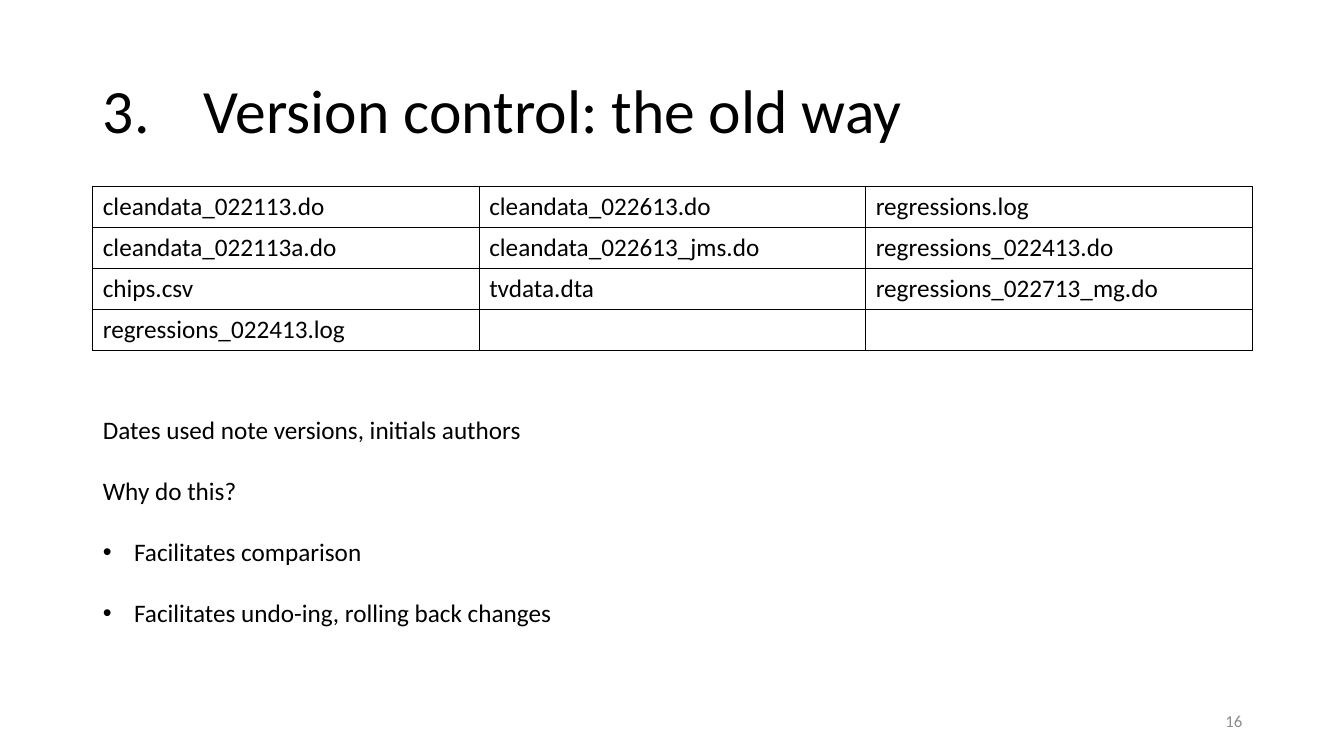
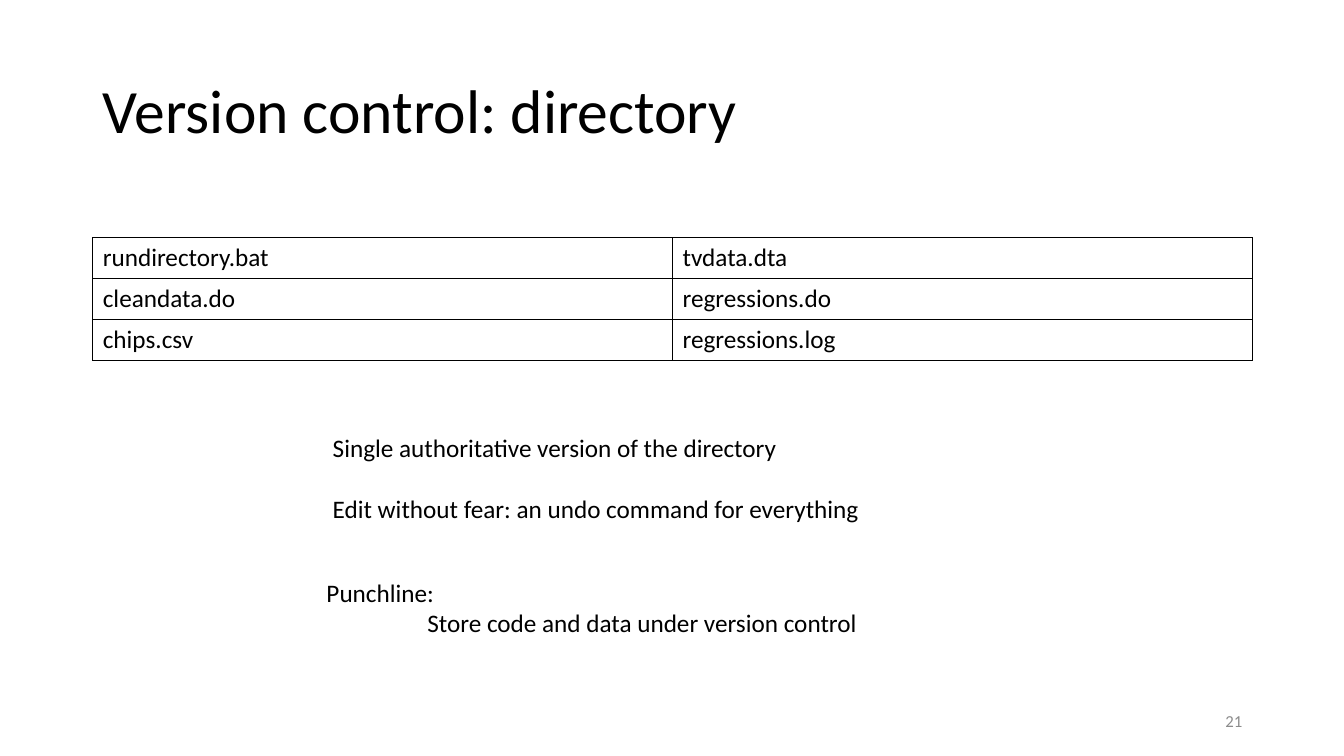
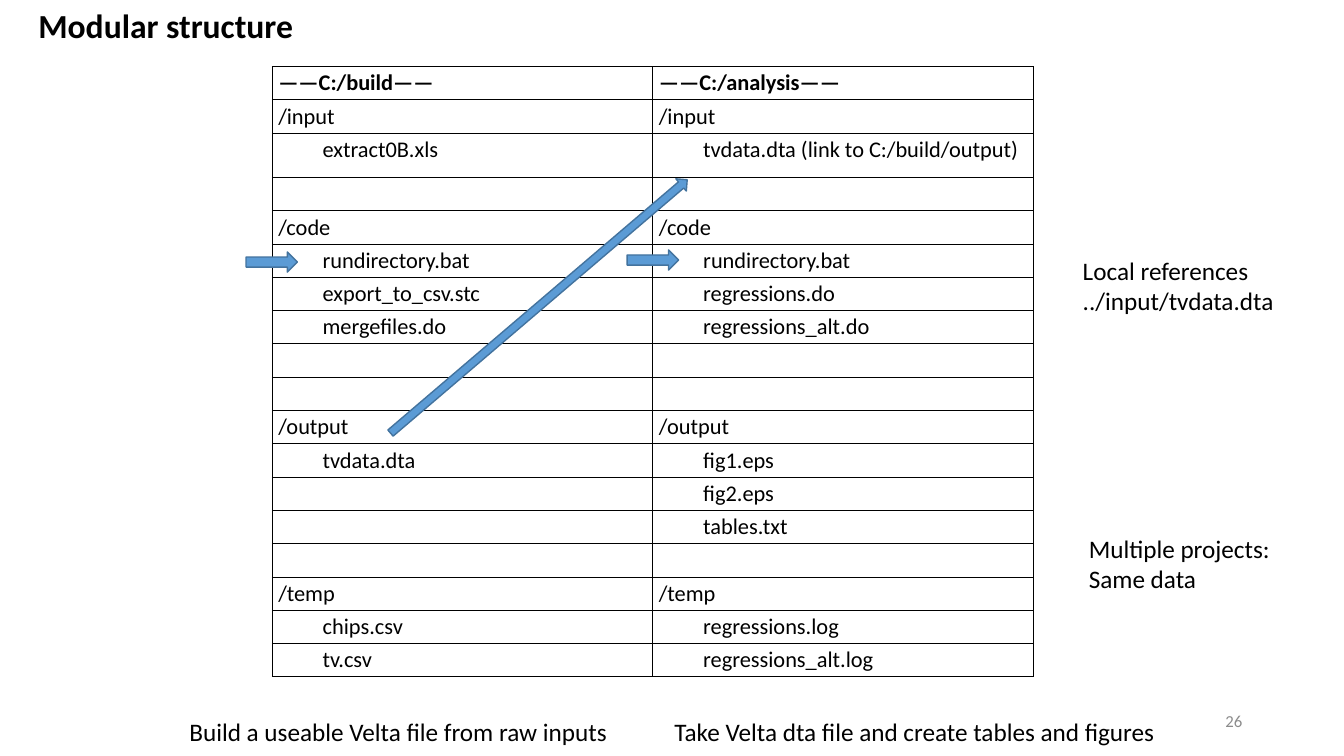
import lxml.etree
import pptx
import pptx.dml.color
import pptx.enum.shapes
import pptx.enum.text
import pptx.oxml.ns
import pptx.util

Inches = pptx.util.Inches
Pt = pptx.util.Pt
qn = pptx.oxml.ns.qn
Anchor = pptx.enum.text.MSO_ANCHOR
Align = pptx.enum.text.PP_ALIGN
AutoSize = pptx.enum.text.MSO_AUTO_SIZE

FONT = "Calibri"
COLORS = {
    "text": "000000",
    "page": "FFFFFF",
    "number": "8C8C8C",
    "arrow": "5B9BD5",
    "arrow_edge": "43739E",
}
TITLE_BOX = (0.92, 0.4, 11.5, 1.45)
NUMBER_BOX = (9.42, 6.95, 3, 0.4)
TITLE_AND_BODY, TITLE_ONLY = 1, 5
LIST_GAP = 22
TAB_WIDTH = 1

OLD_WAY_FILES = [
    ["cleandata_022113.do", "cleandata_022613.do", "regressions.log"],
    ["cleandata_022113a.do", "cleandata_022613_jms.do", "regressions_022413.do"],
    ["chips.csv", "tvdata.dta", "regressions_022713_mg.do"],
    ["regressions_022413.log", "", ""],
]
DIRECTORY_FILES = [
    ["rundirectory.bat", "tvdata.dta"],
    ["cleandata.do", "regressions.do"],
    ["chips.csv", "regressions.log"],
]
MODULE_FILES = [
    ["——C:/build——", "——C:/analysis——"],
    ["/input", "/input"],
    ["extract0B.xls", "tvdata.dta (link to C:/build/output)"],
    ["", ""],
    ["/code", "/code"],
    ["rundirectory.bat", "rundirectory.bat"],
    ["export_to_csv.stc", "regressions.do"],
    ["mergefiles.do", "regressions_alt.do"],
    ["", ""],
    ["", ""],
    ["/output", "/output"],
    ["tvdata.dta", "fig1.eps"],
    ["", "fig2.eps"],
    ["", "tables.txt"],
    ["", ""],
    ["/temp", "/temp"],
    ["chips.csv", "regressions.log"],
    ["tv.csv", "regressions_alt.log"],
]


def rgb(name):
    """Return the named colour."""
    return pptx.dml.color.RGBColor.from_string(COLORS[name])


def set_tab_width(presentation):
    """Set the default tab width of the presentation and its master."""
    for root in (presentation.element, presentation.slide_master.element):
        for element in root.iter():
            if element.get("defTabSz"):
                element.set("defTabSz", str(Inches(TAB_WIDTH)))


def write_paragraph(frame, text, size=18, bold=False, color="text", align=Align.LEFT,
                    indent=0, hanging=0, bullet=None, after=0, spacing=1.0):
    """Write one formatted paragraph into a text frame."""
    first = frame.paragraphs[0]
    paragraph = frame.add_paragraph() if first.runs else first
    paragraph.alignment = align
    paragraph.line_spacing = spacing
    paragraph.space_before = Pt(0)
    paragraph.space_after = Pt(after)
    properties = paragraph._p.get_or_add_pPr()
    properties.set("marL", str(Inches(indent)))
    properties.set("indent", str(-Inches(hanging)))
    properties.set("defTabSz", str(Inches(TAB_WIDTH)))
    if bullet:
        lxml.etree.SubElement(properties, qn("a:buFont"), typeface="Arial")
        lxml.etree.SubElement(properties, qn("a:buChar"), char=bullet)
    else:
        lxml.etree.SubElement(properties, qn("a:buNone"))
    if not text:
        lxml.etree.SubElement(paragraph._p, qn("a:endParaRPr"), sz=str(size * 100))
        return
    run = paragraph.add_run()
    run.text = text
    run.font.name = FONT
    run.font.size = Pt(size)
    run.font.bold = bold
    run.font.color.rgb = rgb(color)


def place(shape, box):
    """Move a shape to a box given in inches."""
    shape.left, shape.top, shape.width, shape.height = map(Inches, box)


def add_title(slide, text, box=TITLE_BOX, anchor=Anchor.MIDDLE, wrap=True,
              size=44, spacing=0.9, **style):
    """Fill the title placeholder."""
    place(slide.shapes.title, box)
    frame = slide.shapes.title.text_frame
    frame.word_wrap = wrap
    frame.auto_size = AutoSize.NONE if wrap else AutoSize.SHAPE_TO_FIT_TEXT
    frame.vertical_anchor = anchor
    write_paragraph(frame, text, size=size, spacing=spacing, **style)


def add_body(slide, box, lines):
    """Fill the body placeholder with spaced lines and their formats."""
    body = slide.placeholders[1]
    place(body, box)
    body.text_frame.word_wrap = True
    body.text_frame.auto_size = AutoSize.NONE
    for text, style in lines:
        write_paragraph(body.text_frame, text, after=LIST_GAP, **style)


def add_note(slide, box, lines, anchor=Anchor.TOP, wrap=False):
    """Add a text box holding lines and their formats."""
    frame = slide.shapes.add_textbox(*map(Inches, box)).text_frame
    frame.word_wrap = wrap
    frame.auto_size = AutoSize.NONE if wrap else AutoSize.SHAPE_TO_FIT_TEXT
    frame.vertical_anchor = anchor
    for text, style in lines:
        write_paragraph(frame, text, **style)


def add_number(slide, number):
    """Add the slide number at the bottom right."""
    style = {"size": 12, "color": "number", "align": Align.RIGHT}
    add_note(slide, NUMBER_BOX, [(str(number), style)], Anchor.MIDDLE, wrap=True)


def format_cell(cell, margins):
    """Give a cell thin borders, a plain fill and its margins."""
    properties = cell._tc.get_or_add_tcPr()
    for side in ("a:lnL", "a:lnR", "a:lnT", "a:lnB"):
        line = lxml.etree.SubElement(properties, qn(side), w=str(Pt(0.75)))
        fill = lxml.etree.SubElement(line, qn("a:solidFill"))
        lxml.etree.SubElement(fill, qn("a:srgbClr"), val=COLORS["text"])
    cell.fill.solid()
    cell.fill.fore_color.rgb = rgb("page")
    cell.margin_left = cell.margin_right = Inches(margins[0])
    cell.margin_top = cell.margin_bottom = Inches(margins[1])


def plain_style(text):
    """Return the format of a cell in a simple file table."""
    return {"size": 18}


def tree_style(text):
    """Return the format of a cell by its level in the folder tree."""
    heading = text.startswith("—")
    nested = text and not heading and not text.startswith("/")
    return {"size": 16, "bold": heading, "indent": 0.44 if nested else 0}


def add_file_table(slide, box, rows, style=plain_style, margins=(0.1, 0.05), tall_rows=None):
    """Add a bordered table with equal columns and rows, save for tall rows."""
    tall_rows = tall_rows or {}
    shape = slide.shapes.add_table(len(rows), len(rows[0]), *map(Inches, box))
    table = shape.table
    table.first_row = table.horz_banding = False
    row_height = (box[3] - sum(tall_rows.values())) / (len(rows) - len(tall_rows))
    for index, row in enumerate(rows):
        table.rows[index].height = Inches(tall_rows.get(index, row_height))
        for column, text in enumerate(row):
            cell = table.cell(index, column)
            format_cell(cell, margins)
            write_paragraph(cell.text_frame, text, **style(text))


def add_arrow(slide, box, rotation=0):
    """Add a block arrow."""
    arrow = slide.shapes.add_shape(
        pptx.enum.shapes.MSO_SHAPE.RIGHT_ARROW, *map(Inches, box))
    arrow.rotation = rotation
    arrow.shadow.inherit = False
    arrow.fill.solid()
    arrow.fill.fore_color.rgb = rgb("arrow")
    arrow.line.color.rgb = rgb("arrow_edge")
    arrow.line.width = Pt(1)


def add_slide(presentation, layout, number):
    """Add a numbered slide."""
    slide = presentation.slides.add_slide(presentation.slide_layouts[layout])
    add_number(slide, number)
    return slide


def build_old_way(presentation):
    """Build the slide on dated file names."""
    slide = add_slide(presentation, TITLE_AND_BODY, 16)
    add_title(slide, "3.\tVersion control: the old way")
    add_file_table(slide, (0.92, 1.85, 11.5, 1.62), OLD_WAY_FILES)
    bulleted = {"indent": 0.31, "hanging": 0.31, "bullet": "•"}
    add_body(slide, (0.92, 4.06, 9.25, 2.22), [
        ("Dates used note versions, initials authors", {}),
        ("Why do this?", {}),
        ("Facilitates comparison", bulleted),
        ("Facilitates undo-ing, rolling back changes", bulleted),
    ])


def build_directory(presentation):
    """Build the slide on the versioned directory."""
    slide = add_slide(presentation, TITLE_AND_BODY, 21)
    add_title(slide, "Version control: directory")
    add_file_table(slide, (0.92, 2.36, 11.5, 1.22), DIRECTORY_FILES)
    add_body(slide, (3.2, 4.24, 6.67, 1.01), [
        ("Single authoritative version of the directory", {}),
        ("Edit without fear: an undo command for everything", {}),
    ])
    add_note(slide, (3.14, 5.68, 6.67, 1.01), [
        ("Punchline:", {}),
        ("Store code and data under version control", {"indent": 1}),
    ], wrap=True)


def build_modules(presentation):
    """Build the slide on the modular folder structure."""
    slide = add_slide(presentation, TITLE_ONLY, 26)
    add_title(slide, "Modular structure", (0.28, 0, 2.75, 0.5), Anchor.TOP,
              wrap=False, size=24, spacing=1.0, bold=True)
    add_file_table(slide, (2.7, 0.66, 7.55, 6.06), MODULE_FILES, tree_style,
                   (0.06, 0.03), {2: 0.44})
    add_arrow(slide, (2.44, 2.5, 0.51, 0.2))
    add_arrow(slide, (6.22, 2.48, 0.51, 0.2))
    add_arrow(slide, (3.41, 2.96, 3.87, 0.16), 319.5)
    notes = [
        ((1.78, 7.06, 4.4, 0.4), ["Build a useable Velta file from raw inputs"]),
        ((6.59, 7.06, 5.02, 0.4), ["Take Velta dta file and create tables and figures"]),
        ((10.64, 2.48, 2.11, 0.71), ["Local references", "../input/tvdata.dta"]),
        ((10.7, 5.24, 2.02, 0.71), ["Multiple projects:", "Same data"]),
    ]
    for box, lines in notes:
        add_note(slide, box, [(line, {}) for line in lines])


def main():
    """Build and save the presentation."""
    presentation = pptx.Presentation()
    presentation.slide_width = Inches(13.33)
    presentation.slide_height = Inches(7.5)
    set_tab_width(presentation)
    build_old_way(presentation)
    build_directory(presentation)
    build_modules(presentation)
    presentation.save("out.pptx")


if __name__ == "__main__":
    main()
